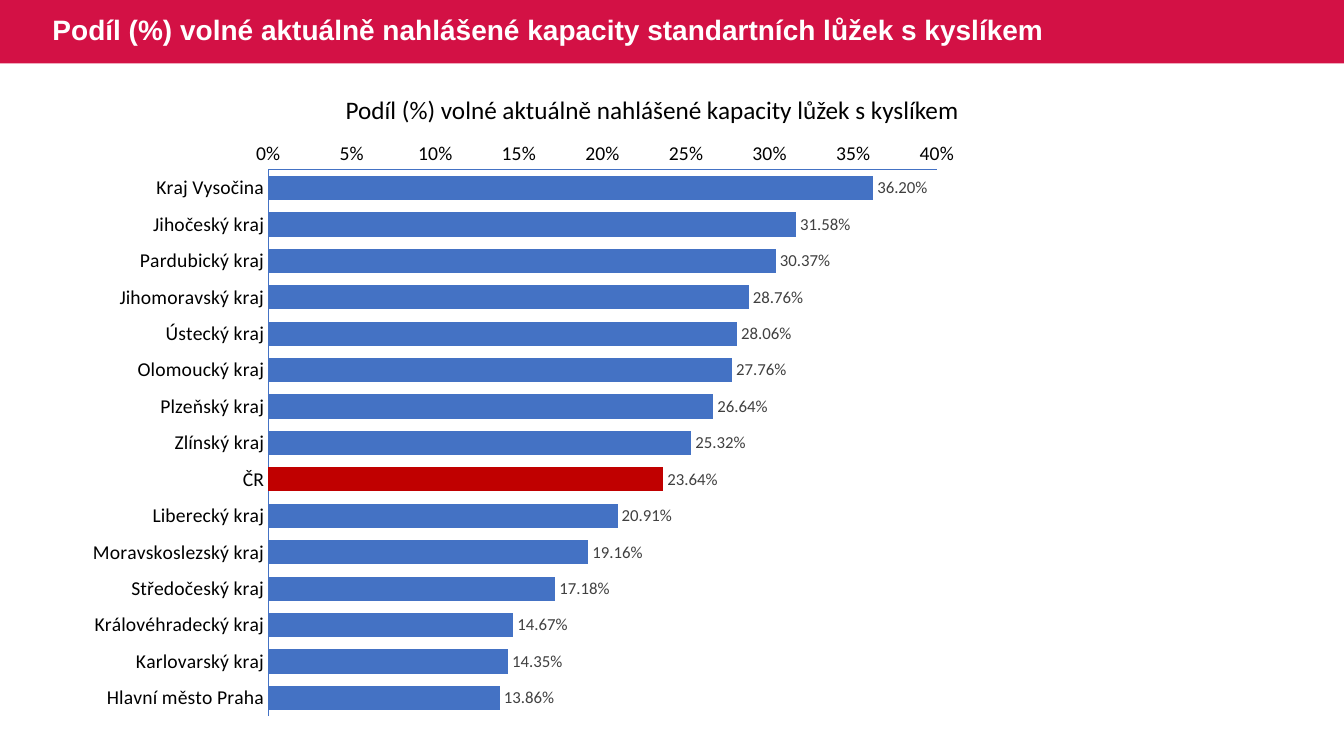
from lxml import etree
from pptx import Presentation
from pptx import util as u
from pptx.chart.data import CategoryChartData
from pptx.dml.color import RGBColor
from pptx.enum import chart as ch, shapes, text
from pptx.oxml import parse_xml
from pptx.oxml.ns import nsdecls


def rgb(value):
    return RGBColor.from_string(value)


def style(font, size, color="000000", name="Calibri", bold=False):
    font.size, font.name, font.bold = u.Pt(size), name, bold
    font.color.rgb = rgb(color)


BLUE, RED = "4472C4", "C00000"
TITLE = "Podíl (%) volné aktuálně nahlášené kapacity standartních lůžek s kyslíkem"
CAPTION = "Podíl (%) volné aktuálně nahlášené kapacity lůžek s kyslíkem"
SHARES = {
    "Kraj Vysočina": 0.3620,
    "Jihočeský kraj": 0.3158,
    "Pardubický kraj": 0.3037,
    "Jihomoravský kraj": 0.2876,
    "Ústecký kraj": 0.2806,
    "Olomoucký kraj": 0.2776,
    "Plzeňský kraj": 0.2664,
    "Zlínský kraj": 0.2532,
    "ČR": 0.2364,
    "Liberecký kraj": 0.2091,
    "Moravskoslezský kraj": 0.1916,
    "Středočeský kraj": 0.1718,
    "Královéhradecký kraj": 0.1467,
    "Karlovarský kraj": 0.1435,
    "Hlavní město Praha": 0.1386,
}

prs = Presentation()
prs.slide_width, prs.slide_height = u.Inches(13.33), u.Inches(7.5)
s = prs.slides.add_slide(prs.slide_layouts[5])
band_height = u.Inches(0.63)

band = s.shapes.add_shape(shapes.MSO_SHAPE.RECTANGLE, 0, 0, prs.slide_width, band_height)
band.shadow.inherit = False
band.fill.solid()
band.fill.fore_color.rgb = rgb("D31145")
band.line.fill.background()

title = s.shapes.title
title.left, title.top, title.width, title.height = u.Inches(0.42), 0, u.Inches(11.56), band_height
title.element.addprevious(band.element)
tf = title.text_frame
tf.text = TITLE
tf.vertical_anchor = text.MSO_ANCHOR.MIDDLE
p = tf.paragraphs[0]
p.alignment = text.PP_ALIGN.LEFT
p.line_spacing = 0.9
style(p.runs[0].font, 20, "FFFFFF", "Arial", True)

data = CategoryChartData(number_format="0.00%")
data.categories = list(SHARES)
data.add_series("Series 1", list(SHARES.values()))
frame = s.shapes.add_chart(
    ch.XL_CHART_TYPE.BAR_CLUSTERED,
    u.Inches(0.74), u.Inches(1.3), u.Inches(8.89), u.Inches(5.93), data)
chart = frame.chart
chart.has_legend = False
chart.has_title = False
style(chart.font, 10)

for axis in (chart.category_axis, chart.value_axis):
    axis.has_major_gridlines = False
    axis.major_tick_mark = axis.minor_tick_mark = ch.XL_TICK_MARK.NONE
    axis.format.line.color.rgb = rgb(BLUE)
    axis.format.line.width = u.Pt(0.75)
    style(axis.tick_labels.font, 14)
chart.category_axis.reverse_order = True
axis = chart.value_axis
axis.minimum_scale, axis.maximum_scale, axis.major_unit = 0, 0.4, 0.05
axis.tick_labels.number_format = "0%"
axis.tick_labels.number_format_is_linked = False

plot = chart.plots[0]
plot.gap_width = 50
plot.vary_by_categories = False
bars = plot.series[0]
bars.format.fill.solid()
bars.format.fill.fore_color.rgb = rgb(BLUE)
country = bars.points[list(SHARES).index("ČR")].format.fill
country.solid()
country.fore_color.rgb = rgb(RED)

labels = bars.data_labels
labels.show_value = True
labels.position = ch.XL_LABEL_POSITION.OUTSIDE_END
labels.number_format = "0.00%"
labels.number_format_is_linked = False
style(labels.font, 12, "404040")

area = chart.element.chart.plotArea
for old in area.findall("{*}layout"):
    area.remove(old)
layout = parse_xml(f"<c:layout {nsdecls('c')}><c:manualLayout/></c:layout>")
settings = {"layoutTarget": "inner", "xMode": "edge", "yMode": "edge",
            "x": "0.216", "y": "0.065", "w": "0.746", "h": "0.914"}
for tag, value in settings.items():
    etree.SubElement(layout[0], f"{{{layout.nsmap['c']}}}{tag}").set("val", value)
area.insert(0, layout)

caption = s.shapes.add_textbox(u.Inches(3.33), u.Inches(0.89), u.Inches(6.35), u.Inches(0.4))
tf = caption.text_frame
tf.word_wrap = False
tf.auto_size = text.MSO_AUTO_SIZE.SHAPE_TO_FIT_TEXT
r = tf.paragraphs[0].add_run()
r.text = CAPTION
style(r.font, 18)

prs.save("out.pptx")
